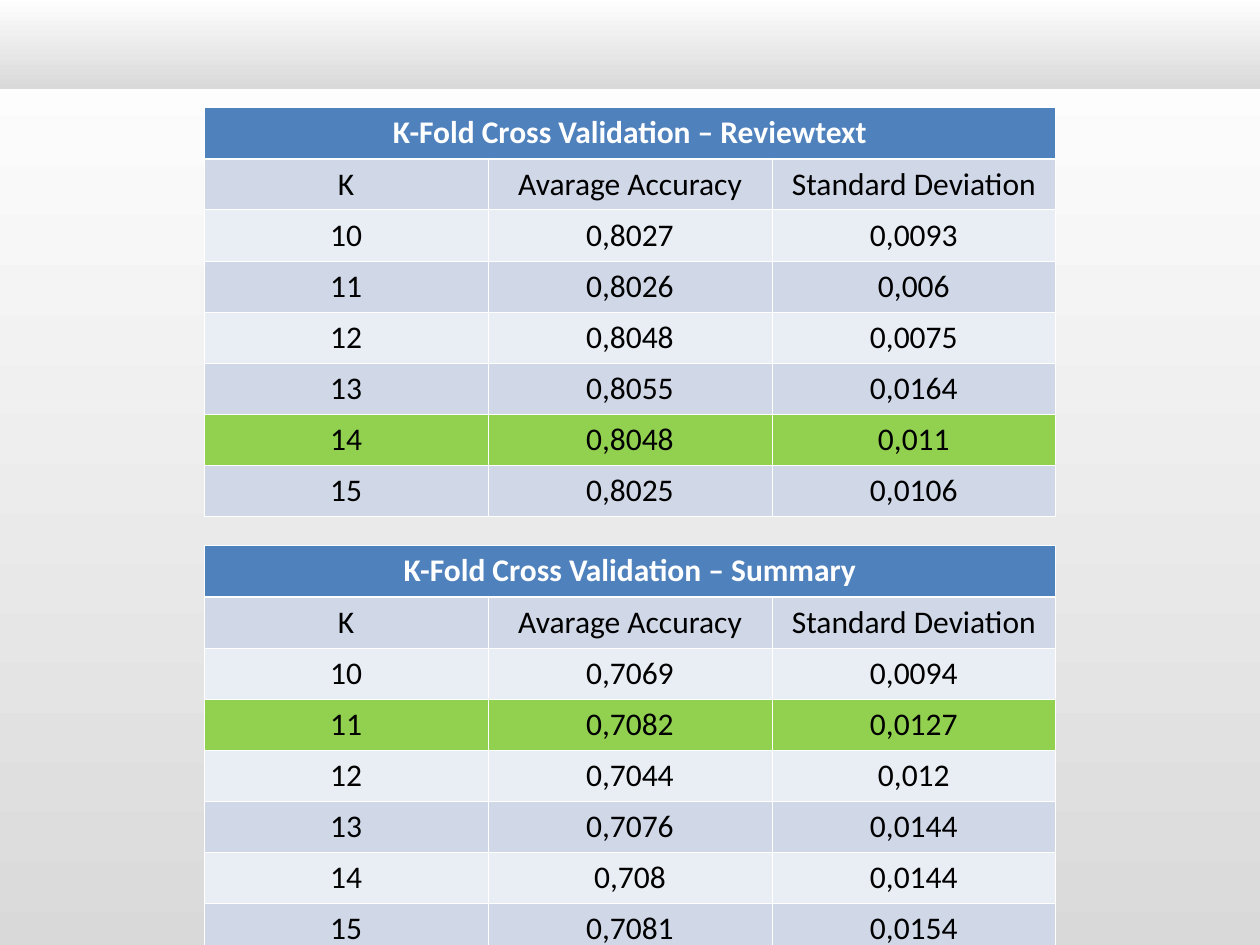
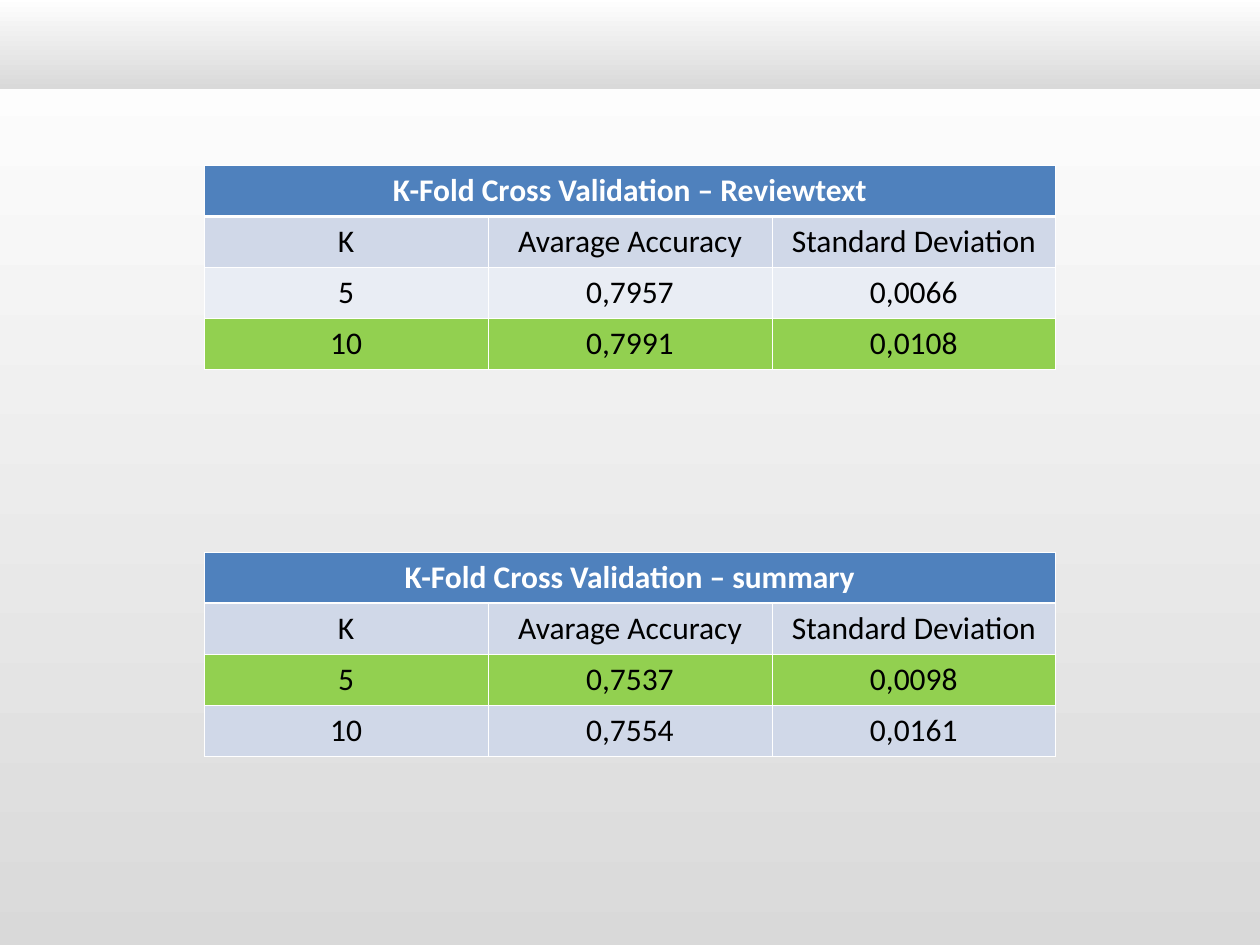
from lxml.etree import SubElement
from pptx import Presentation
from pptx.dml.color import RGBColor
from pptx.enum.shapes import MSO_SHAPE
from pptx.enum.text import PP_ALIGN
from pptx.oxml.ns import qn
from pptx.util import Pt

COLORS = {
    "white": "FFFFFF",
    "grey": "D9D9D9",
    "black": "000000",
    "title": "4F81BD",
    "dark_row": "D0D8E8",
    "light_row": "E9EDF4",
    "best": "92D050",
}
FONT = "Calibri"
PAGE_WIDTH, PAGE_HEIGHT = 720, 540
COLUMN_WIDTH, ROW_HEIGHT = 162.2, 28.8
THIN, THICK = 0.45, 1.47
HEADINGS = ("K", "Avarage Accuracy", "Standard Deviation")


def color(name):
    return RGBColor.from_string(COLORS[name])


def add_gradient_band(page, top, height):
    """Full-width band fading from white at the top to grey."""
    band = page.shapes.add_shape(
        MSO_SHAPE.RECTANGLE, 0, Pt(top), Pt(PAGE_WIDTH), Pt(height))
    band.shadow.inherit = False
    band.line.fill.background()
    band.fill.gradient()
    band.fill.gradient_angle = 270
    for stop, position, name in zip(
            band.fill.gradient_stops, (0, 1), ("white", "grey")):
        stop.position = position
        stop.color.rgb = color(name)


def add_page(deck):
    page = deck.slides.add_slide(deck.slide_layouts[6])
    add_gradient_band(page, 9.5, PAGE_HEIGHT)
    add_gradient_band(page, -1.5, 52.5)
    return page


def set_borders(cell, top, bottom):
    """White borders; they must stand before the fill in the cell properties."""
    properties = cell._tc.get_or_add_tcPr()
    widths = {"a:lnL": THIN, "a:lnR": THIN, "a:lnT": top, "a:lnB": bottom}
    for place, (tag, width) in enumerate(widths.items()):
        line = properties.makeelement(qn(tag), {"w": str(int(Pt(width)))})
        fill = SubElement(line, qn("a:solidFill"))
        SubElement(fill, qn("a:srgbClr"), val=COLORS["white"])
        properties.insert(place, line)


def write_cell(cell, text, text_color, bold):
    para = cell.text_frame.paragraphs[0]
    para.alignment = PP_ALIGN.CENTER
    span = para.add_run()
    span.text = text
    span.font.name = FONT
    span.font.size = Pt(18)
    span.font.bold = bold
    span.font.color.rgb = color(text_color)


def row_color(row, best_row):
    if row == 0:
        return "title"
    if row == best_row:
        return "best"
    return "dark_row" if row % 2 else "light_row"


def add_score_table(page, top, title, scores, best_k):
    rows = [(title,), HEADINGS, *scores]
    best_row = [row[0] for row in rows].index(best_k)
    columns = len(HEADINGS)
    table = page.shapes.add_table(
        len(rows), columns, Pt((PAGE_WIDTH - columns * COLUMN_WIDTH) / 2),
        Pt(top), Pt(columns * COLUMN_WIDTH), Pt(len(rows) * ROW_HEIGHT)).table
    for column in table.columns:
        column.width = Pt(COLUMN_WIDTH)
    table.cell(0, 0).merge(table.cell(0, columns - 1))

    for row, texts in enumerate(rows):
        table.rows[row].height = Pt(ROW_HEIGHT)
        for cell in table.rows[row].cells:
            cell.fill.solid()
            cell.fill.fore_color.rgb = color(row_color(row, best_row))
            set_borders(cell, THICK if row == 1 else THIN,
                        THICK if row == 0 else THIN)
        for column, text in enumerate(texts):
            write_cell(table.cell(row, column), text,
                       "black" if row else "white", row == 0)


def main():
    deck = Presentation()
    deck.slide_width, deck.slide_height = Pt(PAGE_WIDTH), Pt(PAGE_HEIGHT)

    # Folds from 10 to 15
    page = add_page(deck)
    add_score_table(page, 61.5, "K-Fold Cross Validation – Reviewtext", [
        ("10", "0,8027", "0,0093"),
        ("11", "0,8026", "0,006"),
        ("12", "0,8048", "0,0075"),
        ("13", "0,8055", "0,0164"),
        ("14", "0,8048", "0,011"),
        ("15", "0,8025", "0,0106"),
    ], best_k="14")
    add_score_table(page, 311.8, "K-Fold Cross Validation – Summary", [
        ("10", "0,7069", "0,0094"),
        ("11", "0,7082", "0,0127"),
        ("12", "0,7044", "0,012"),
        ("13", "0,7076", "0,0144"),
        ("14", "0,708", "0,0144"),
        ("15", "0,7081", "0,0154"),
    ], best_k="11")

    # Folds 5 and 10
    page = add_page(deck)
    add_score_table(page, 94.5, "K-Fold Cross Validation – Reviewtext", [
        ("5", "0,7957", "0,0066"),
        ("10", "0,7991", "0,0108"),
    ], best_k="10")
    add_score_table(page, 315.5, "K-Fold Cross Validation – summary", [
        ("5", "0,7537", "0,0098"),
        ("10", "0,7554", "0,0161"),
    ], best_k="5")

    deck.save("out.pptx")


if __name__ == "__main__":
    main()
